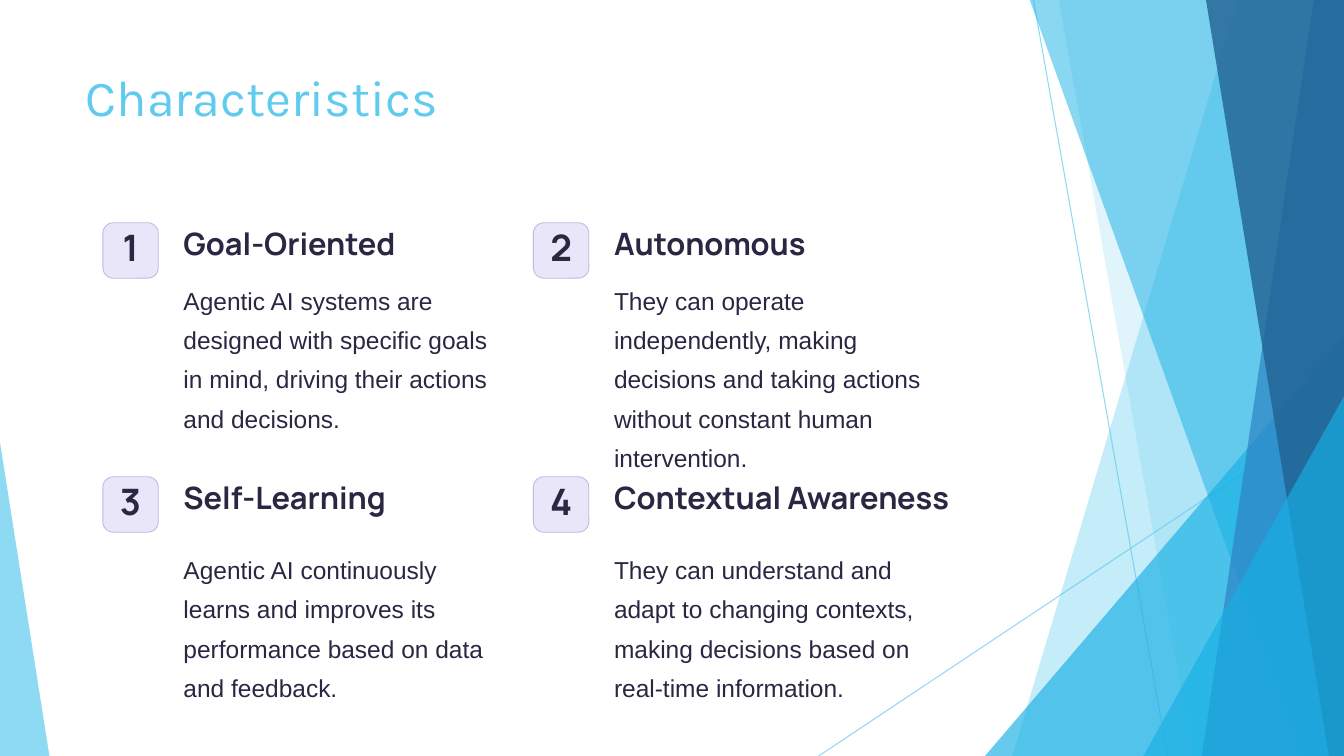
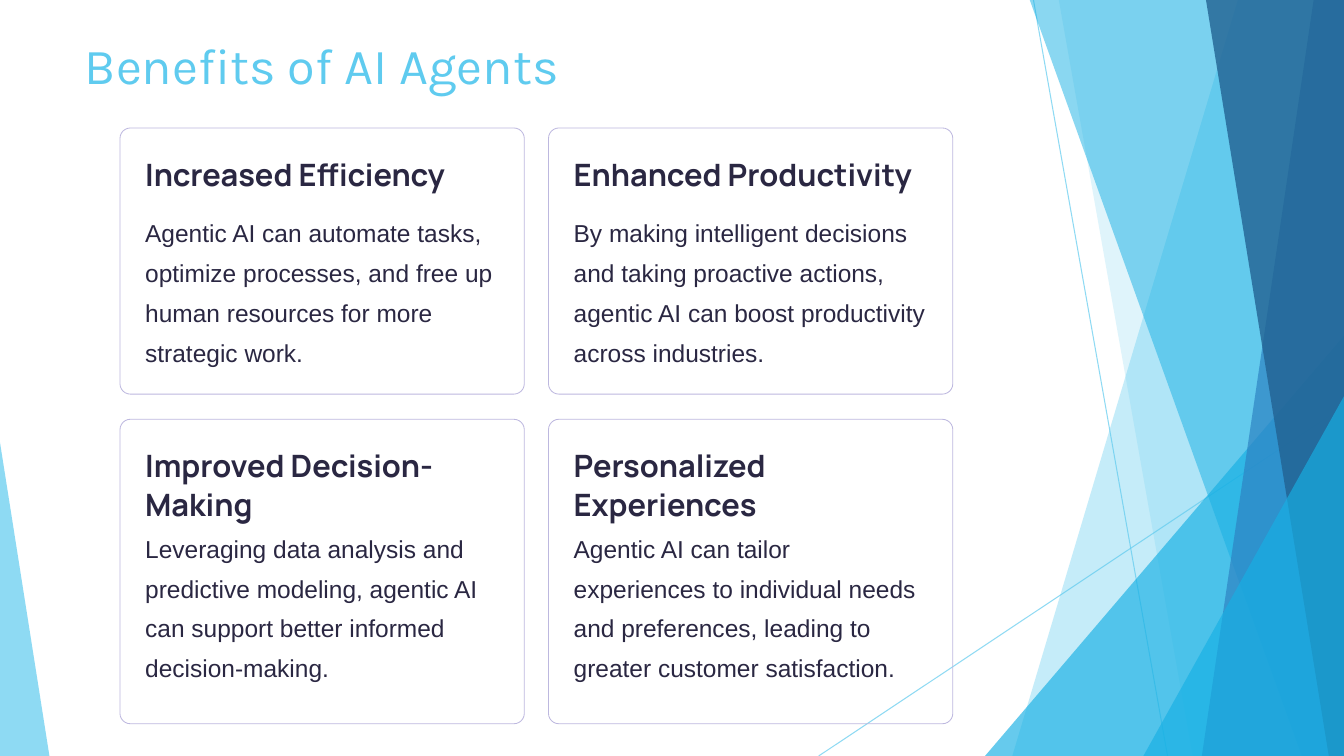
from lxml import etree
from pptx import Presentation
from pptx import util as u
from pptx.dml.color import RGBColor
from pptx.enum import shapes, text
from pptx.oxml.ns import qn

PX = 9144  # EMU per px, 100 px to the inch
WIDTH, HEIGHT = 1333, 750
COLORS = {
    "sky": "5FCBEF", "cyan": "17B0E4", "blue": "2E83C3", "navy": "226292",
    "ink": "2A2742", "badge": "E9E6FA", "border": "BDB8DF",
}
TITLE = dict(font="Karla", size=36, color="sky")
NUMBER = dict(font="Manrope", size=26, bold=True, spacing=26,
              align=text.PP_ALIGN.CENTER, anchor=text.MSO_ANCHOR.MIDDLE)
HEADING = dict(font="Manrope", size=22, bold=True, spacing=27.5)
BODY = dict(font="Arial", size=17.5)

CHARACTERISTICS = [
    ("Goal-Oriented", "Agentic AI systems are designed with specific goals in mind, "
     "driving their actions and decisions."),
    ("Autonomous", "They can operate independently, making decisions and taking "
     "actions without constant human intervention."),
    ("Self-Learning", "Agentic AI continuously learns and improves its performance "
     "based on data and feedback."),
    ("Contextual Awareness", "They can understand and adapt to changing contexts, "
     "making decisions based on real-time information."),
]
BENEFITS = [
    ("Increased Efficiency", "Agentic AI can automate tasks, optimize processes, and "
     "free up human resources for more strategic work."),
    ("Enhanced Productivity", "By making intelligent decisions and taking proactive "
     "actions, agentic AI can boost productivity across industries."),
    ("Improved Decision-Making", "Leveraging data analysis and predictive modeling, "
     "agentic AI can support better informed decision-making."),
    ("Personalized Experiences", "Agentic AI can tailor experiences to individual needs "
     "and preferences, leading to greater customer satisfaction."),
]


def px(*lengths):
    return [u.Emu(n * PX) for n in lengths]


def rgb(name):
    return RGBColor.from_string(COLORS[name])


# Text
def write(tf, words, font, size, color="ink", bold=False, spacing=None,
          align=text.PP_ALIGN.LEFT, anchor=text.MSO_ANCHOR.TOP, inset=0):
    tf.word_wrap = True
    tf.auto_size = text.MSO_AUTO_SIZE.NONE
    tf.vertical_anchor = anchor
    tf.margin_left = tf.margin_right = tf.margin_top = tf.margin_bottom = u.Emu(inset * PX)
    p = tf.paragraphs[0]
    p.alignment = align
    if spacing:
        p.line_spacing = u.Pt(spacing)
    r = p.add_run()
    r.text = words
    r.font.name, r.font.size, r.font.bold = font, u.Pt(size), bold
    r.font.color.rgb = rgb(color)


def add_text(s, x, y, w, h, words, **style):
    write(s.shapes.add_textbox(*px(x, y, w, h)).text_frame, words, **style)


def set_title(s, words, x, y):
    title = s.shapes.title
    title.left, title.top, title.width, title.height = px(x, y, 940, 144)
    write(title.text_frame, words, inset=5, **TITLE)
    title.text_frame.margin_left = u.Emu(10 * PX)


# Shapes
def set_alpha(sp, percent):
    color = sp.element.spPr.xpath(".//a:srgbClr")[0]
    etree.SubElement(color, qn("a:alpha")).set("val", str(percent * 1000))


def paint(sp, color, alpha):
    sp.shadow.inherit = False
    sp.fill.solid()
    sp.fill.fore_color.rgb = rgb(color)
    sp.line.fill.background()
    set_alpha(sp, alpha)


def add_hairline(grp, *ends):
    line = grp.shapes.add_connector(shapes.MSO_CONNECTOR.STRAIGHT, *px(*ends))
    line.line.color.rgb = rgb("sky")
    line.line.width = u.Pt(0.75)
    set_alpha(line, 70)
    etree.SubElement(line.element.spPr, qn("a:effectLst"))


def add_ribbon(grp, top_x, bottom_x, color, alpha):
    """A full-height band from a slanted left edge to the slide's right edge."""
    corners = [(top_x, -1), (WIDTH, -1), (WIDTH, HEIGHT), (bottom_x, HEIGHT)]
    points = [px(*corner) for corner in corners]
    outline = grp.shapes.build_freeform(*points[0], scale=1.0)
    outline.add_line_segments(points[1:], close=True)
    paint(outline.convert_to_shape(), color, alpha)


def add_wedge(grp, x, y, w, color, alpha, apex=1):
    """A triangle that stands on the slide's bottom edge."""
    sp = grp.shapes.add_shape(shapes.MSO_SHAPE.ISOSCELES_TRIANGLE,
                              *px(x, y, w, HEIGHT - y))
    sp.adjustments[0] = apex
    paint(sp, color, alpha)


def add_round_box(s, x, y, w, h, fill=None):
    sp = s.shapes.add_shape(shapes.MSO_SHAPE.ROUNDED_RECTANGLE, *px(x, y, w, h))
    sp.adjustments[0] = round(10.4 / min(w, h), 3)
    sp.shadow.inherit = False
    if fill:
        sp.fill.solid()
        sp.fill.fore_color.rgb = rgb(fill)
    else:
        sp.fill.background()
    sp.line.color.rgb = rgb("border")
    sp.line.width = u.Pt(0.6)
    return sp


# Shared background
def decorate_layout(layout, s):
    """Draw the ribbons on a slide, then move them behind the layout's placeholders."""
    grp = s.shapes.add_group_shape()
    add_hairline(grp, 1025, 0, 1158, HEIGHT)
    add_hairline(grp, WIDTH, 403, 812, HEIGHT)
    add_ribbon(grp, 1228, 1004, "sky", 36)
    add_ribbon(grp, 1050, 1183, "sky", 20)
    add_wedge(grp, 977, 333, 356, "cyan", 66)
    add_ribbon(grp, 1021, 1291, "cyan", 50)
    add_ribbon(grp, 1303, 1192, "blue", 70)
    add_ribbon(grp, 1196, 1318, "navy", 80)
    add_wedge(grp, 1134, 393, 199, "cyan", 66)
    add_wedge(grp, 0, 439, 49, "sky", 70, apex=0)
    for number, tag in enumerate(grp.element.xpath(".//p:cNvPr"), 100):
        tag.set("id", str(number))
    layout.element.cSld.spTree.insert(2, grp.element)


# Slides
def fill_characteristics(s):
    set_title(s, "Characteristics", 75, 61)
    rows = [(221, 53), (473, 68)]  # top, offset of the body text
    for i, (heading, body) in enumerate(CHARACTERISTICS):
        x = 102 + i % 2 * 427
        y, body_offset = rows[i // 2]
        badge = add_round_box(s, x, y, 55, 55, fill="badge")
        write(badge.text_frame, str(i + 1), **NUMBER)
        add_text(s, x + 80, y, 350, 38, heading, **HEADING)
        add_text(s, x + 80, y + body_offset, 323, 157, body, spacing=28, **BODY)


def fill_benefits(s):
    set_title(s, "Benefits of AI Agents", 74, 29)
    rows = [(127, 264, 39), (416, 302, 78)]  # top, card height, heading height
    for i, (heading, body) in enumerate(BENEFITS):
        x = 119 + i % 2 * 425
        y, card_h, heading_h = rows[i // 2]
        add_round_box(s, x, y, 401, card_h)
        add_text(s, x + 25, y + 26, 350, heading_h, heading, **HEADING)
        body_y = y + (79 if i < 2 else 103)
        add_text(s, x + 25, body_y, 350, 159, body, spacing=28.5, **BODY)


def main():
    prs = Presentation()
    prs.slide_width, prs.slide_height = px(WIDTH, HEIGHT)
    layout = prs.slide_layouts.get_by_name("Title Only")
    first, second = [prs.slides.add_slide(layout) for _ in range(2)]
    decorate_layout(layout, first)
    fill_characteristics(first)
    fill_benefits(second)
    prs.save("out.pptx")


if __name__ == "__main__":
    main()
